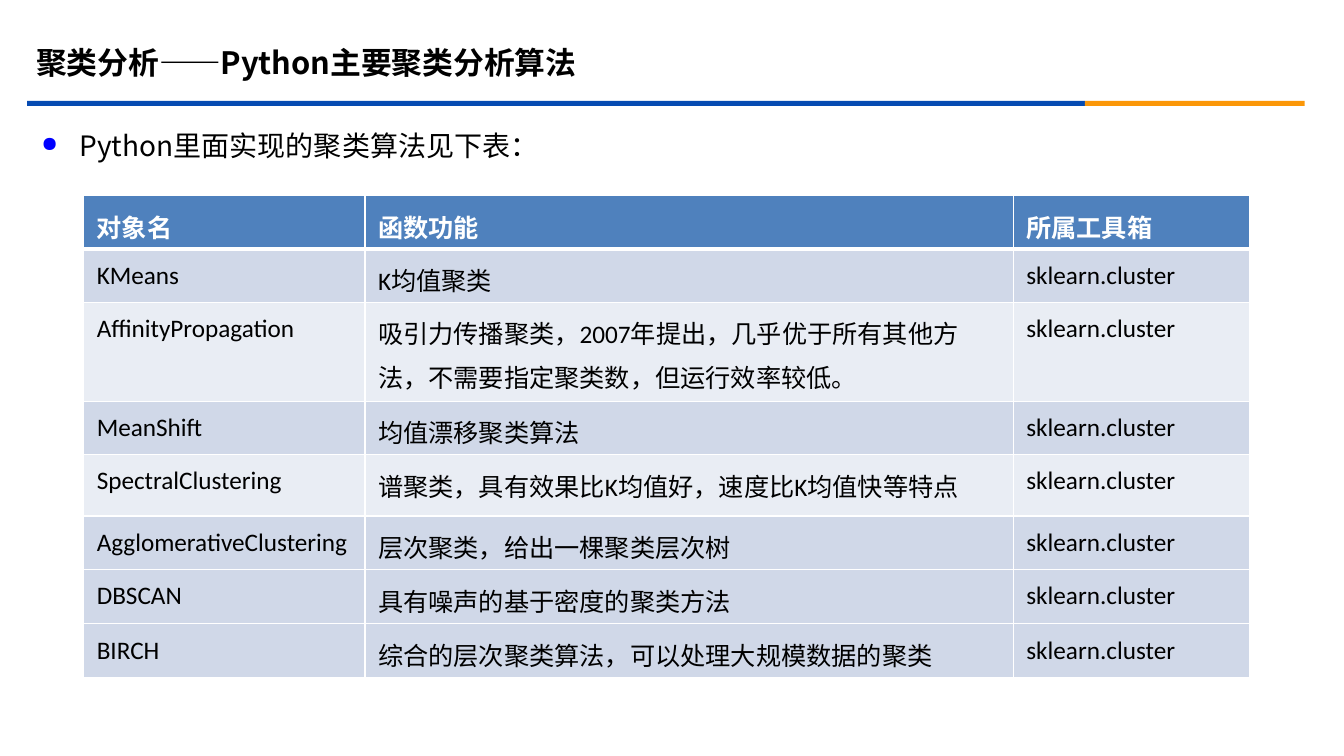
from dataclasses import dataclass

from lxml import etree
from pptx import Presentation
from pptx.dml.color import RGBColor
from pptx.enum import shapes, text
from pptx.oxml import ns
from pptx.util import Inches, Pt


@dataclass(frozen=True)
class Theme:
    blue: str = "064BB2"
    orange: str = "FB9708"
    bullet: str = "0000FF"
    header: str = "4F81BD"
    dark_band: str = "D0D8E8"
    light_band: str = "E9EDF4"
    black: str = "000000"
    white: str = "FFFFFF"
    title_size: int = 22
    body_size: int = 20
    table_size: int = 18
    chinese_font: str = "Noto Sans CJK SC"
    table_font: str = "Calibri"


THEME = Theme()

COLUMN_WIDTHS = (2.79, 6.43, 2.34)
ROW_HEIGHTS = (0.53, 0.53, 0.98, 0.53, 0.61, 0.53, 0.54, 0.53)
HEADINGS = ("对象名", "函数功能", "所属工具箱")
TOOLBOX = "sklearn.cluster"
ALGORITHMS = (
    ("KMeans", "K均值聚类"),
    ("AffinityPropagation",
     "吸引力传播聚类，2007年提出，几乎优于所有其他方法，不需要指定聚类数，但运行效率较低。"),
    ("MeanShift", "均值漂移聚类算法"),
    ("SpectralClustering", "谱聚类，具有效果比K均值好，速度比K均值快等特点"),
    ("AgglomerativeClustering", "层次聚类，给出一棵聚类层次树"),
    ("DBSCAN", "具有噪声的基于密度的聚类方法"),
    ("BIRCH", "综合的层次聚类算法，可以处理大规模数据的聚类"),
)
LIGHT_ROWS = (2, 4)


def add_element(parent, tag, **attributes):
    return etree.SubElement(parent, ns.qn(tag), attributes)


def format_paragraph(paragraph, size, color, font, bold=False):
    for run in paragraph.runs:
        run.font.size = Pt(size)
        run.font.bold = bold
        run.font.color.rgb = RGBColor.from_string(color)
        run.font.name = font
        add_element(run.font._element, "a:ea", typeface=THEME.chinese_font)


def space_paragraph(paragraph, line_spacing, size):
    paragraph.line_spacing = line_spacing
    paragraph.space_before = Pt(size * 0.2)


def add_bar(slide, left, width, color):
    bar = slide.shapes.add_shape(shapes.MSO_SHAPE.RECTANGLE, Inches(left),
                                 Inches(1), Inches(width), Inches(0.05))
    bar.shadow.inherit = False
    bar.fill.solid()
    bar.fill.fore_color.rgb = RGBColor.from_string(color)
    bar.line.fill.background()


def add_text(slide, left, top, width, height, wording):
    box = slide.shapes.add_textbox(Inches(left), Inches(top),
                                   Inches(width), Inches(height))
    frame = box.text_frame
    frame.word_wrap = True
    frame.text = wording
    return frame


def add_title(slide, wording):
    frame = add_text(slide, 0.26, 0.38, 12.13, 0.47, wording)
    frame.vertical_anchor = text.MSO_ANCHOR.MIDDLE
    format_paragraph(frame.paragraphs[0], THEME.title_size, THEME.black,
                     THEME.chinese_font, bold=True)


def add_bullet(slide, wording):
    frame = add_text(slide, 0.41, 1.11, 12.29, 0.51, wording)
    frame.margin_left = frame.margin_right = 0
    frame.margin_top = frame.margin_bottom = 0
    frame.auto_size = text.MSO_AUTO_SIZE.SHAPE_TO_FIT_TEXT
    paragraph = frame.paragraphs[0]
    format_paragraph(paragraph, THEME.body_size, THEME.black, THEME.chinese_font)
    space_paragraph(paragraph, 1.5, THEME.body_size)
    properties = paragraph._p.get_or_add_pPr()
    properties.set("marL", str(Inches(0.38)))
    properties.set("indent", str(-Inches(0.38)))
    bullet_color = add_element(properties, "a:buClr")
    add_element(bullet_color, "a:srgbClr", val=THEME.bullet)
    add_element(properties, "a:buSzPct", val="75000")
    add_element(properties, "a:buChar", char="●")


def set_borders(cell, top, bottom):
    """Draw white borders; top and bottom are widths in points."""
    properties = cell._tc.get_or_add_tcPr()
    for side, width in (("L", 1), ("R", 1), ("T", top), ("B", bottom)):
        line = add_element(properties, f"a:ln{side}", w=str(Pt(width)))
        fill = add_element(line, "a:solidFill")
        add_element(fill, "a:srgbClr", val=THEME.white)


def fill_cell(cell, wording, row):
    is_header = row == 0
    cell.margin_left = cell.margin_right = Inches(0.13)
    cell.margin_top = cell.margin_bottom = Inches(0.05)
    cell.text_frame.text = wording
    paragraph = cell.text_frame.paragraphs[0]
    format_paragraph(paragraph, THEME.table_size,
                     THEME.white if is_header else THEME.black,
                     THEME.table_font, bold=is_header)
    space_paragraph(paragraph, 1.2, THEME.table_size)
    paragraph._p.get_or_add_pPr().set("hangingPunct", "0")
    set_borders(cell, top=3 if row == 1 else 1, bottom=3 if is_header else 1)
    band = THEME.light_band if row in LIGHT_ROWS else THEME.dark_band
    cell.fill.solid()
    cell.fill.fore_color.rgb = RGBColor.from_string(
        THEME.header if is_header else band)


def add_algorithm_table(slide):
    rows = [HEADINGS] + [(*algorithm, TOOLBOX) for algorithm in ALGORITHMS]
    table = slide.shapes.add_table(
        len(rows), len(HEADINGS), Inches(0.83), Inches(1.94),
        Inches(sum(COLUMN_WIDTHS)), Inches(sum(ROW_HEIGHTS))).table
    for column, width in zip(table.columns, COLUMN_WIDTHS):
        column.width = Inches(width)
    for table_row, height in zip(table.rows, ROW_HEIGHTS):
        table_row.height = Inches(height)
    for row, wordings in enumerate(rows):
        for column, wording in enumerate(wordings):
            fill_cell(table.cell(row, column), wording, row)


def main():
    presentation = Presentation()
    presentation.slide_width = Inches(13.33)
    presentation.slide_height = Inches(7.5)
    slide = presentation.slides.add_slide(presentation.slide_layouts[6])
    add_bar(slide, 0.27, 10.49, THEME.blue)
    add_bar(slide, 10.76, 2.18, THEME.orange)
    add_title(slide, "聚类分析——Python主要聚类分析算法")
    add_algorithm_table(slide)
    add_bullet(slide, "Python里面实现的聚类算法见下表：")
    presentation.save("out.pptx")


if __name__ == "__main__":
    main()
